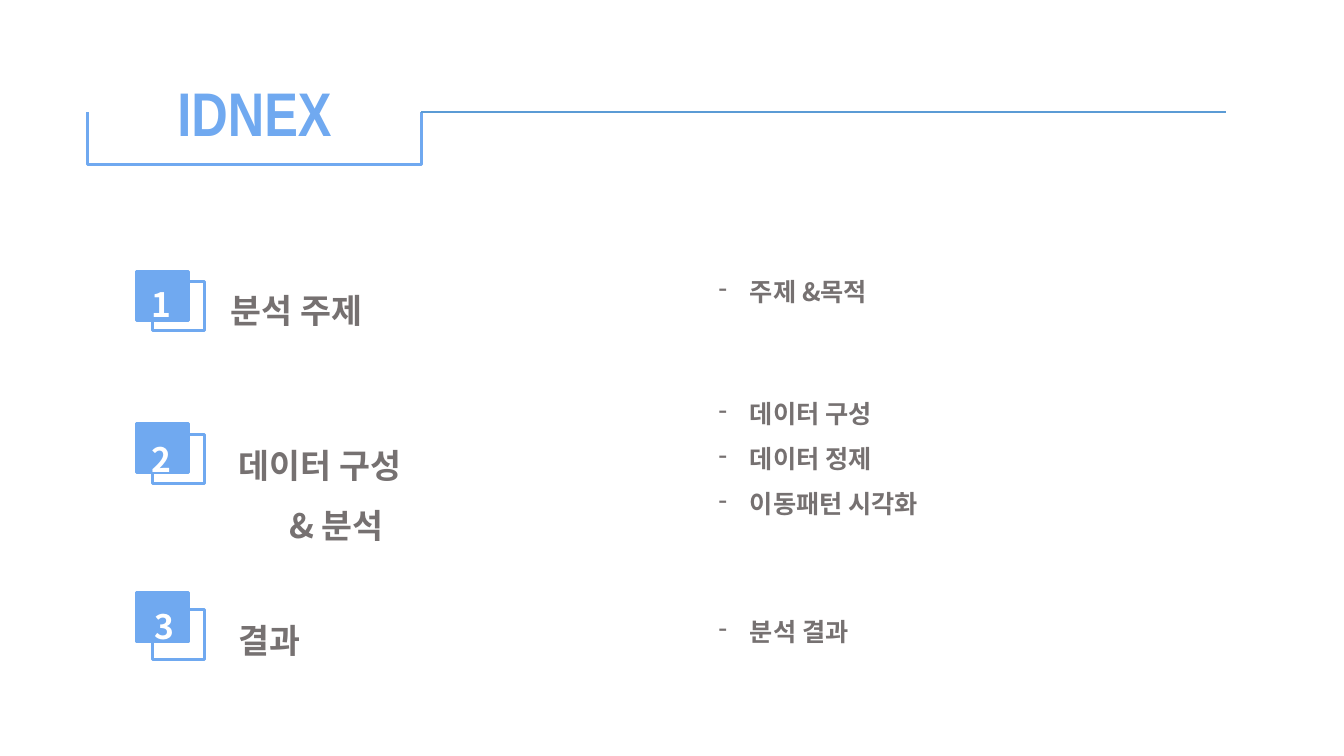
"""Build the index slide: a bracketed title and three numbered topics with details."""
from lxml import etree
from pptx import Presentation
from pptx.dml.color import RGBColor
from pptx.enum.shapes import MSO_CONNECTOR as CONN, MSO_SHAPE as SHAPE
from pptx.enum.text import MSO_AUTO_SIZE as AUTO, PP_ALIGN as ALIGN
from pptx.oxml.ns import qn
from pptx.util import Inches, Pt

BLUE, RULE, GREY, WHITE = "70A9F0", "5B9BD5", "767171", "FFFFFF"
KOREAN, NARROW = "Noto Sans CJK KR", "Arial Narrow"
TITLE = "IDNEX"
TOPICS = [
    dict(top=2.69, drop=0.10, num=(1.4, 2.57, 0.41), head=(2.19, 2.63, 1.67, 0.63),
         lines=["분석 주제"], detail=(2.69, 2.28, 0.4), items=["주제 &목적"], spacing=None),
    dict(top=4.2, drop=0.11, num=(1.4, 4.1, 0.41), head=(2.27, 4.16, 2.29, 1.23),
         lines=["데이터 구성", "\t& 분석"], detail=(3.75, 2.87, 1.77),
         items=["데이터 구성", "데이터 정제", "이동패턴 시각화"], spacing=1.5),
    dict(top=5.88, drop=0.17, num=(1.43, 5.76, 0.35), head=(2.27, 5.9, 0.88, 0.63),
         lines=["결과"], detail=(6.07, 3.63, 0.4), items=["분석 결과"], spacing=None),
]
SQUARE_X, SHIFT, SQUARE_W, SQUARE_H = 1.35, 0.16, 0.52, 0.49
DETAIL_X, INDENT = 7.03, 0.31
BRACKET_X, BRACKET_Y, BRACKET_W, BRACKET_H = 0.87, 1.11, 3.31, 0.52
RULE_END = 12.16


def rgb(value):
    return RGBColor.from_string(value)


def add_box(s, kind, at, fill=None, width=2):
    sp = s.shapes.add_shape(kind, *map(Inches, at))
    sp.shadow.inherit = False
    if fill:
        sp.fill.solid()
        sp.fill.fore_color.rgb = rgb(fill)
    else:
        sp.fill.background()
    sp.line.color.rgb = rgb(BLUE)
    sp.line.width = Pt(width)
    return sp


def add_text(s, lines, at, size=24, color=GREY, font=KOREAN, align=None,
             spacing=None, wrap=False, dash=False):
    tf = s.shapes.add_textbox(*map(Inches, at)).text_frame
    tf.word_wrap = wrap
    tf.auto_size = AUTO.SHAPE_TO_FIT_TEXT
    for i, line in enumerate(lines):
        p = tf.paragraphs[0] if i == 0 else tf.add_paragraph()
        p.alignment = align
        p.line_spacing = spacing
        if dash:
            pPr = p._p.get_or_add_pPr()
            pPr.set("marL", str(Inches(INDENT)))
            pPr.set("indent", str(-Inches(INDENT)))
            etree.SubElement(pPr, qn("a:buFontTx"))
            etree.SubElement(pPr, qn("a:buChar"), char="-")
        r = p.add_run()
        r.text = line
        r.font.size = Pt(size)
        r.font.bold = True
        r.font.name = font
        r.font.color.rgb = rgb(color)
        etree.SubElement(r._r.get_or_add_rPr(), qn("a:ea"), typeface=font)


def add_header(s):
    left = BRACKET_X + (BRACKET_W - BRACKET_H) / 2
    top = BRACKET_Y + (BRACKET_H - BRACKET_W) / 2
    sp = add_box(s, SHAPE.RIGHT_BRACKET, (left, top, BRACKET_H, BRACKET_W), width=1.75)
    sp.adjustments[0] = 0
    sp.rotation = 90
    ends = (BRACKET_X + BRACKET_W, BRACKET_Y, RULE_END, BRACKET_Y)
    rule = s.shapes.add_connector(CONN.STRAIGHT, *map(Inches, ends))
    rule.line.color.rgb = rgb(RULE)
    rule.line.width = Pt(1.75)
    etree.SubElement(rule._element.spPr, qn("a:effectLst"))
    add_text(s, [TITLE], (1.35, 0.69, 2.35, 0.84), size=44, color=BLUE,
             font=NARROW, align=ALIGN.CENTER, wrap=True)


def add_topic(s, number, topic):
    top = topic["top"]
    add_box(s, SHAPE.RECTANGLE, (SQUARE_X, top, SQUARE_W, SQUARE_H), fill=BLUE)
    add_box(s, SHAPE.RECTANGLE, (SQUARE_X + SHIFT, top + topic["drop"], SQUARE_W, SQUARE_H))
    add_text(s, [str(number)], (*topic["num"], 0.61), color=WHITE, spacing=1.5)
    add_text(s, topic["lines"], topic["head"], spacing=1.5)
    add_text(s, topic["items"], (DETAIL_X, *topic["detail"]), size=18,
             spacing=topic["spacing"], wrap=True, dash=True)


def main():
    prs = Presentation()
    prs.slide_width, prs.slide_height = Inches(13.33), Inches(7.5)
    s = prs.slides.add_slide(prs.slide_layouts[6])
    add_header(s)
    for number, topic in enumerate(TOPICS, 1):
        add_topic(s, number, topic)
    prs.save("out.pptx")


if __name__ == "__main__":
    main()
